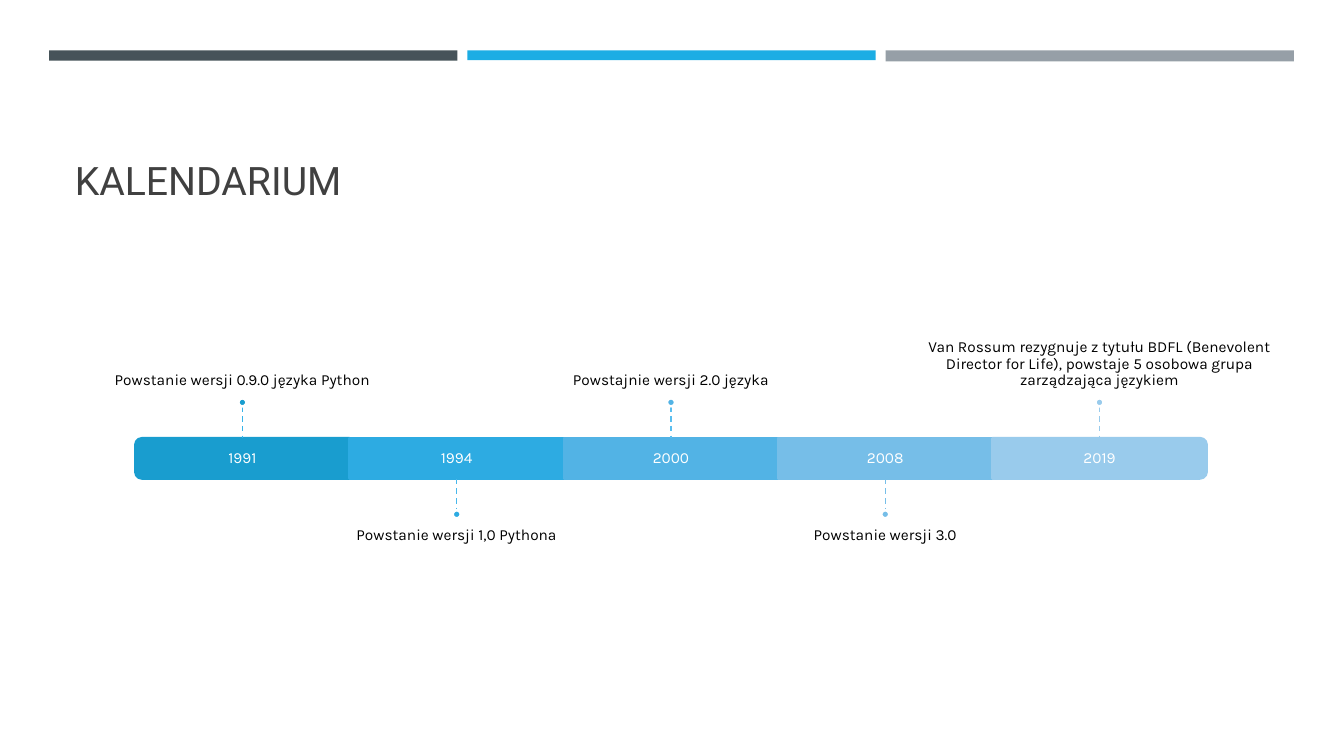
from lxml import etree
from pptx import Presentation
from pptx import util as u
from pptx.dml.color import RGBColor
from pptx.enum import dml, shapes, text
from pptx.oxml.ns import qn

TITLE = "KALENDARIUM"
# year, event, segment colour, stem colour
EVENTS = [
    ("1991", "Powstanie wersji 0.9.0 języka Python", "199DCF", "36B3E9"),
    ("1994", "Powstanie wersji 1,0 Pythona", "2DABE2", "48B8EC"),
    ("2000", "Powstajnie wersji 2.0 języka", "52B3E5", "5ABEEF"),
    ("2008", "Powstanie wersji 3.0", "76BEE8", "77BFE9"),
    ("2019", "Van Rossum rezygnuje z tytułu BDFL (Benevolent Director for Life), "
             "powstaje 5 osobowa grupa zarządzająca językiem", "99CBEC", "98CBEC"),
]
# colour and height of the stripes along the top
STRIPES = [("465359", 0.26), ("1CADE4", 0.25), ("969FA7", 0.28)]

# Measures in centimetres
STRIPE_LEFT, STRIPE_TOP, STRIPE_WIDTH, STRIPE_PITCH = 1.24, 1.27, 10.29, 10.54
BAR_LEFT, BAR_TOP, BAR_HEIGHT, SEGMENT = 3.41, 11.04, 1.02, 5.4
STEM, DOT = 0.8, 0.2
LABEL_WIDTH, LABEL_HEIGHT, INSET = 9.02, 3.53, 0.23


def rgb(value):
    return RGBColor.from_string(value)


def add_block(kind, left, top, width, height, fill, line=None):
    block = page.shapes.add_shape(
        kind, u.Cm(left), u.Cm(top), u.Cm(width), u.Cm(height))
    block.shadow.inherit = False
    block.fill.solid()
    block.fill.fore_color.rgb = rgb(fill)
    if line:
        block.line.color.rgb = rgb(line)
        block.line.width = u.Pt(1.75)
    else:
        block.line.fill.background()
    return block


def write(frame, words, font, size, colour, align):
    para = frame.paragraphs[0]
    para.alignment = align
    para.line_spacing = 0.9
    span = para.add_run()
    span.text = words
    span.font.name = font
    span.font.size = u.Pt(size)
    span.font.color.rgb = rgb(colour)


def add_label(words, left, top, width, height, colour, anchor, insets):
    box = page.shapes.add_textbox(u.Cm(left), u.Cm(top), u.Cm(width), u.Cm(height))
    frame = box.text_frame
    frame.word_wrap = True
    frame.vertical_anchor = anchor
    (frame.margin_left, frame.margin_top,
     frame.margin_right, frame.margin_bottom) = [u.Cm(inset) for inset in insets]
    write(frame, words, "Karla", 11, colour, text.PP_ALIGN.CENTER)


def add_segment(index, left, colour):
    rotation = {0: 270, len(EVENTS) - 1: 90}.get(index)
    if rotation is None:
        add_block(shapes.MSO_SHAPE.RECTANGLE, left, BAR_TOP, SEGMENT, BAR_HEIGHT,
                  colour, colour)
        return
    # The rounded ends are upright shapes turned about their centre
    shift = (SEGMENT - BAR_HEIGHT) / 2
    end = add_block(shapes.MSO_SHAPE.ROUND_2_SAME_RECTANGLE, left + shift,
                    BAR_TOP - shift, BAR_HEIGHT, SEGMENT, colour, colour)
    end.rotation = rotation


def add_stem(x, top, colour):
    stem = page.shapes.add_connector(
        shapes.MSO_CONNECTOR.STRAIGHT, u.Cm(x), u.Cm(top), u.Cm(x), u.Cm(top + STEM))
    stem.line.color.rgb = rgb(colour)
    stem.line.width = u.Pt(1)
    stem.line.dash_style = dml.MSO_LINE.DASH
    etree.SubElement(stem._element.spPr, qn("a:effectLst"))


deck = Presentation()
deck.slide_width, deck.slide_height = u.Cm(33.87), u.Cm(19.05)
page = deck.slides.add_slide(deck.slide_layouts[5])

# Stripes
for index, (colour, height) in enumerate(STRIPES):
    add_block(shapes.MSO_SHAPE.RECTANGLE, STRIPE_LEFT + index * STRIPE_PITCH,
              STRIPE_TOP, STRIPE_WIDTH, height, colour)

# Title
title = page.shapes.title
title.left, title.top, title.width, title.height = (
    u.Cm(1.63), u.Cm(1.96), u.Cm(30.63), u.Cm(3.3))
title.text_frame.vertical_anchor = text.MSO_ANCHOR.BOTTOM
write(title.text_frame, TITLE, "Roboto", 28, "404040", text.PP_ALIGN.LEFT)

# Timeline: events alternate above and below the bar
bar_bottom = BAR_TOP + BAR_HEIGHT
for index, (year, event, colour, stem_colour) in enumerate(EVENTS):
    left = BAR_LEFT + index * SEGMENT
    centre = left + SEGMENT / 2
    if index % 2 == 0:
        stem_top = BAR_TOP - STEM
        dot_top = stem_top - DOT
        label_top = dot_top - LABEL_HEIGHT
        anchor, insets = text.MSO_ANCHOR.BOTTOM, (0, 0, 0, INSET)
    else:
        stem_top = bar_bottom
        dot_top = stem_top + STEM
        label_top = dot_top + DOT
        anchor, insets = text.MSO_ANCHOR.TOP, (0, INSET, 0, 0)

    add_segment(index, left, colour)
    add_label(year, left, BAR_TOP, SEGMENT, BAR_HEIGHT, "FFFFFF",
              text.MSO_ANCHOR.MIDDLE, [INSET] * 4)
    add_label(event, centre - LABEL_WIDTH / 2, label_top, LABEL_WIDTH, LABEL_HEIGHT,
              "000000", anchor, insets)
    add_stem(centre, stem_top, stem_colour)
    add_block(shapes.MSO_SHAPE.OVAL, centre - DOT / 2, dot_top, DOT, DOT,
              colour, "FFFFFF")

deck.save("out.pptx")
